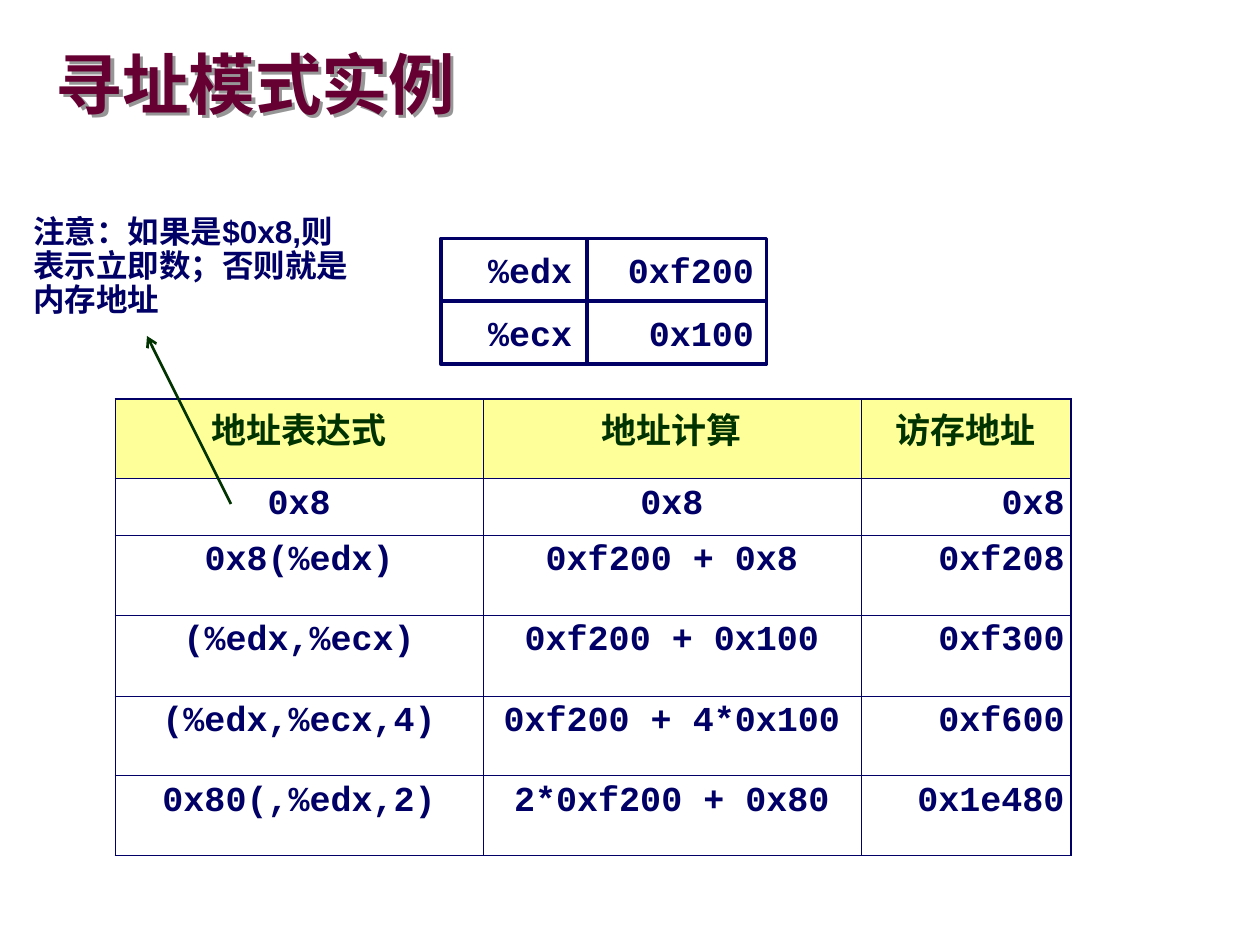
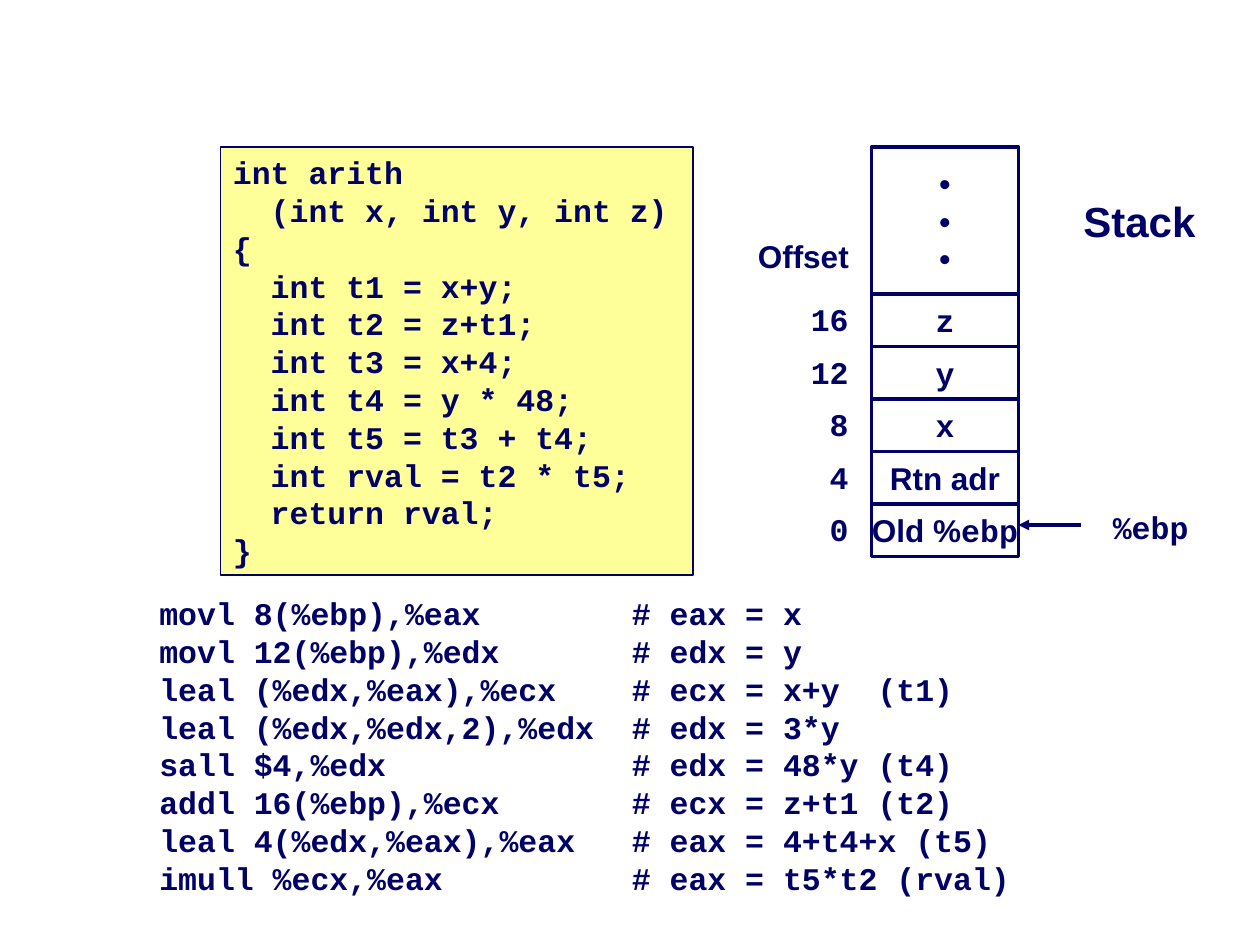
from dataclasses import dataclass

from lxml import etree
from pptx import Presentation
from pptx.dml.color import RGBColor
from pptx.enum.shapes import MSO_CONNECTOR, MSO_SHAPE
from pptx.enum.text import MSO_ANCHOR, PP_ALIGN
from pptx.oxml.ns import qn
from pptx.slide import Slide
from pptx.util import Pt

PX = 7620  # 120 px to the inch
LEFT, MID, RIGHT = PP_ALIGN.LEFT, PP_ALIGN.CENTER, PP_ALIGN.RIGHT
TOP, HALF = MSO_ANCHOR.TOP, MSO_ANCHOR.MIDDLE
RECT, LINE = MSO_SHAPE.RECTANGLE, MSO_CONNECTOR.STRAIGHT
SANS, MONO = "Arial", "Courier New"
COLORS = {
    "navy": "000066",
    "wine": "660033",
    "green": "003300",
    "yellow": "FFFF99",
    "white": "FFFFFF",
    "shade": "969696",
}


@dataclass
class Run:
    text: str
    font: str = SANS
    size: int = 18
    color: str = "navy"


@dataclass
class Box:
    """A text box, or a rectangle when it has a fill."""
    x: int
    y: int
    w: int
    h: int
    lines: list[list[Run]]
    fill: str = ""
    edge: int = 2
    align: PP_ALIGN = LEFT
    anchor: MSO_ANCHOR = TOP
    wrap: bool = False
    space: float = 1.0
    tabs: tuple[int, ...] = ()
    inset: bool = True


@dataclass
class Arrow:
    x: int
    y: int
    to_x: int
    to_y: int
    color: str
    width: float
    head: str


def rgb(name: str) -> RGBColor:
    return RGBColor.from_string(COLORS[name])


def sub(node, tag: str, **attrs):
    return etree.SubElement(node, qn(tag), attrs)


def write(para, runs: list[Run], align: PP_ALIGN, space: float) -> None:
    para.alignment = align
    para.line_spacing = space
    for item in runs:
        run = para.add_run()
        run.text = item.text
        run.font.name = item.font
        run.font.size = Pt(item.size)
        run.font.bold = True
        run.font.color.rgb = rgb(item.color)


def set_tabs(para, stops: tuple[int, ...]) -> None:
    tabs = sub(para._p.get_or_add_pPr(), "a:tabLst")
    for stop in stops:
        sub(tabs, "a:tab", pos=str(stop * PX), algn="l")


def draw_box(slide: Slide, box: Box):
    place = [n * PX for n in (box.x, box.y, box.w, box.h)]
    if box.fill:
        shape = slide.shapes.add_shape(RECT, *place)
        shape.shadow.inherit = False
        shape.fill.solid()
        shape.fill.fore_color.rgb = rgb(box.fill)
        shape.line.color.rgb = rgb("navy")
        shape.line.width = Pt(box.edge)
    else:
        shape = slide.shapes.add_textbox(*place)
    frame = shape.text_frame
    frame.word_wrap = box.wrap
    frame.vertical_anchor = box.anchor
    frame.margin_left = frame.margin_right = 12 * PX * box.inset
    frame.margin_top = frame.margin_bottom = 6 * PX * box.inset
    for i, runs in enumerate(box.lines):
        para = frame.add_paragraph() if i else frame.paragraphs[0]
        write(para, runs, box.align, box.space)
        if box.tabs:
            set_tabs(para, box.tabs)
    return shape


def draw_arrow(slide: Slide, arrow: Arrow) -> None:
    ends = [n * PX for n in (arrow.x, arrow.y, arrow.to_x, arrow.to_y)]
    link = slide.shapes.add_connector(LINE, *ends)
    link.line.color.rgb = rgb(arrow.color)
    link.line.width = Pt(arrow.width)
    sub(link.line._get_or_add_ln(), "a:tailEnd", type=arrow.head)
    sub(link._element.spPr, "a:effectLst")


def draw_title(slide: Slide, text: str) -> None:
    """Draw a heading whose letters cast a hard grey shadow."""
    line = [Run(text, size=38, color="wine")]
    shape = draw_box(slide, Box(53, 33, 1144, 102, [line], anchor=HALF,
                                wrap=True, space=0.87, inset=False))
    effect = sub(shape._element.spPr, "a:effectLst")
    shade = sub(effect, "a:outerShdw", dist="38100", dir="2700000")
    sub(shade, "a:srgbClr", val=COLORS["shade"])


def set_edges(cell, outer: dict[str, bool]) -> None:
    """Rule a cell, with a heavier line where it meets the table's rim."""
    props = cell._tc.get_or_add_tcPr()
    for i, (side, rim) in enumerate(outer.items()):
        edge = etree.Element(qn("a:ln" + side), w=str(Pt(1.08 if rim else 0.45)))
        fill = sub(edge, "a:solidFill")
        sub(fill, "a:srgbClr", val=COLORS["navy"])
        props.insert(i, edge)


def draw_table(slide: Slide, x: int, y: int, widths: list[int],
               heights: list[int], rows: list[tuple[str, ...]]) -> None:
    frame = slide.shapes.add_table(len(rows), len(widths), x * PX, y * PX,
                                   sum(widths) * PX, sum(heights) * PX)
    table = frame.table
    table.first_row = table.horz_banding = False
    for col, width in zip(table.columns, widths):
        col.width = width * PX
    last_r, last_c = len(rows) - 1, len(widths) - 1
    for r, texts in enumerate(rows):
        table.rows[r].height = heights[r] * PX
        for c, text in enumerate(texts):
            cell = table.cell(r, c)
            cell.margin_left = cell.margin_right = 6 * PX
            cell.margin_top = cell.margin_bottom = 6 * PX
            if r:
                run, align = Run(text, MONO, 20), RIGHT if c == last_c else MID
                cell.fill.background()
            else:
                run, align = Run(text, SANS, 20, "green"), MID
                cell.fill.solid()
                cell.fill.fore_color.rgb = rgb("yellow")
            write(cell.text_frame.paragraphs[0], [run], align, 0.95)
            set_edges(cell, {"L": c == 0, "R": c == last_c,
                             "T": r == 0, "B": r == last_r})


def code(text: str) -> list[list[Run]]:
    return [[Run(line, MONO)] for line in text.strip("\n").split("\n")]


MODES = [
    ("地址表达式", "地址计算", "访存地址"),
    ("0x8", "0x8", "0x8"),
    ("0x8(%edx)", "0xf200 + 0x8", "0xf208"),
    ("(%edx,%ecx)", "0xf200 + 0x100", "0xf300"),
    ("(%edx,%ecx,4)", "0xf200 + 4*0x100", "0xf600"),
    ("0x80(,%edx,2)", "2*0xf200 + 0x80", "0x1e480"),
]

SOURCE = """
int arith
  (int x, int y, int z)
{
  int t1 = x+y;
  int t2 = z+t1;
  int t3 = x+4;
  int t4 = y * 48;
  int t5 = t3 + t4;
  int rval = t2 * t5;
  return rval;
}
"""

STEPS = [
    ("movl 8(%ebp),%eax", "# eax = x"),
    ("movl 12(%ebp),%edx", "# edx = y"),
    ("leal (%edx,%eax),%ecx", "# ecx = x+y  (t1)"),
    ("leal (%edx,%edx,2),%edx", "# edx = 3*y"),
    ("sall $4,%edx", "# edx = 48*y (t4)"),
    ("addl 16(%ebp),%ecx", "# ecx = z+t1 (t2)"),
    ("leal 4(%edx,%eax),%eax", "# eax = 4+t4+x (t5)"),
    ("imull %ecx,%eax", "# eax = t5*t2 (rval)"),
]

SLOTS = [
    ("16", [Run("z", MONO)]),
    ("12", [Run("y", MONO)]),
    ("8", [Run("x", MONO)]),
    ("4", [Run("Rtn adr")]),
    ("0", [Run("Old %"), Run("ebp", MONO)]),
]


def show_modes(slide: Slide) -> None:
    draw_title(slide, "寻址模式实例")
    for i, (name, value) in enumerate([("%edx", "0xf200"), ("%ecx", "0x100")]):
        y = 227 + 60 * i
        for x, w, text, align in ((420, 170, name, MID), (559, 171, value, RIGHT)):
            draw_box(slide, Box(x, y, w, 60, [[Run(text, MONO, 20)]], "white",
                                align=align, anchor=HALF))
    draw_table(slide, 110, 380, [350, 360, 200], [76, 54, 76, 77, 76, 76], MODES)
    draw_arrow(slide, Arrow(220, 480, 140, 320, "green", 1.5, "arrow"))
    note = "注意：如果是$0x8,则表示立即数；否则就是内存地址"
    draw_box(slide, Box(20, 200, 330, 109, [[Run(note)]], wrap=True, space=0.9))


def show_stack(slide: Slide) -> None:
    draw_box(slide, Box(210, 140, 450, 408, code(SOURCE), "yellow", 1, wrap=True))
    steps = [[Run(f"\t{step}\t{gloss}", MONO)] for step, gloss in STEPS]
    draw_box(slide, Box(110, 560, 890, 300, steps, wrap=True, tabs=(30, 480)))
    draw_box(slide, Box(830, 140, 140, 140, [[Run("•")]] * 3, "white",
                        align=MID, anchor=HALF))
    for i, (offset, runs) in enumerate(SLOTS):
        y = 280 + 50 * i
        draw_box(slide, Box(830, y, 140, 50, [runs], "white",
                            align=MID, anchor=HALF))
        draw_box(slide, Box(750, y, 70, 48, [[Run(offset, MONO)]], align=RIGHT))
    draw_arrow(slide, Arrow(1030, 500, 970, 500, "navy", 2, "triangle"))
    draw_box(slide, Box(1048, 478, 100, 48, [[Run("%ebp", MONO)]]))
    draw_box(slide, Box(710, 220, 120, 48, [[Run("Offset")]]))
    draw_box(slide, Box(1020, 180, 140, 60, [[Run("Stack", size=24)]]))


def main() -> None:
    deck = Presentation()
    deck.slide_width, deck.slide_height = 1200 * PX, 900 * PX
    blank = deck.slide_layouts[6]
    for show in (show_modes, show_stack):
        show(deck.slides.add_slide(blank))
    deck.save("out.pptx")


if __name__ == "__main__":
    main()
